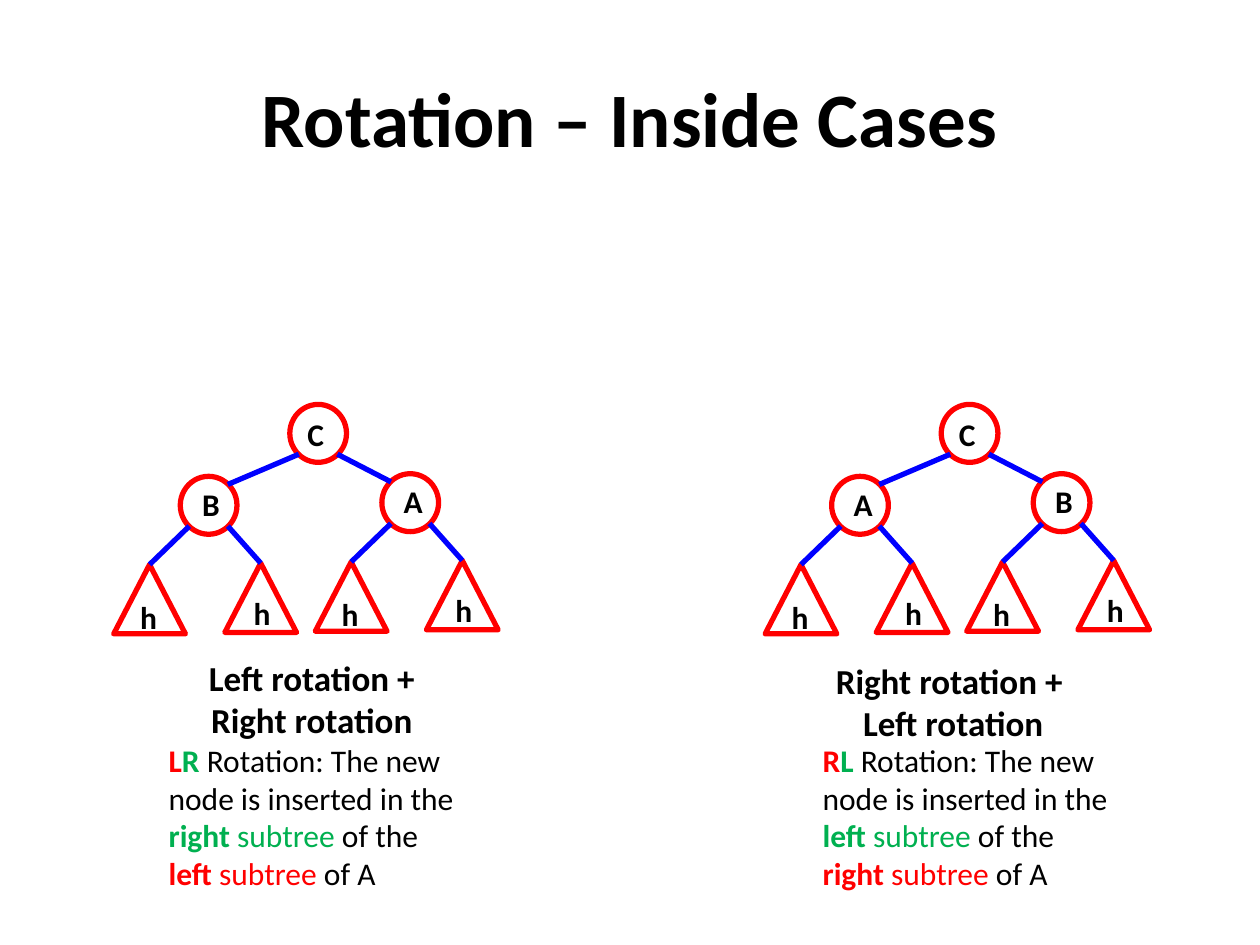
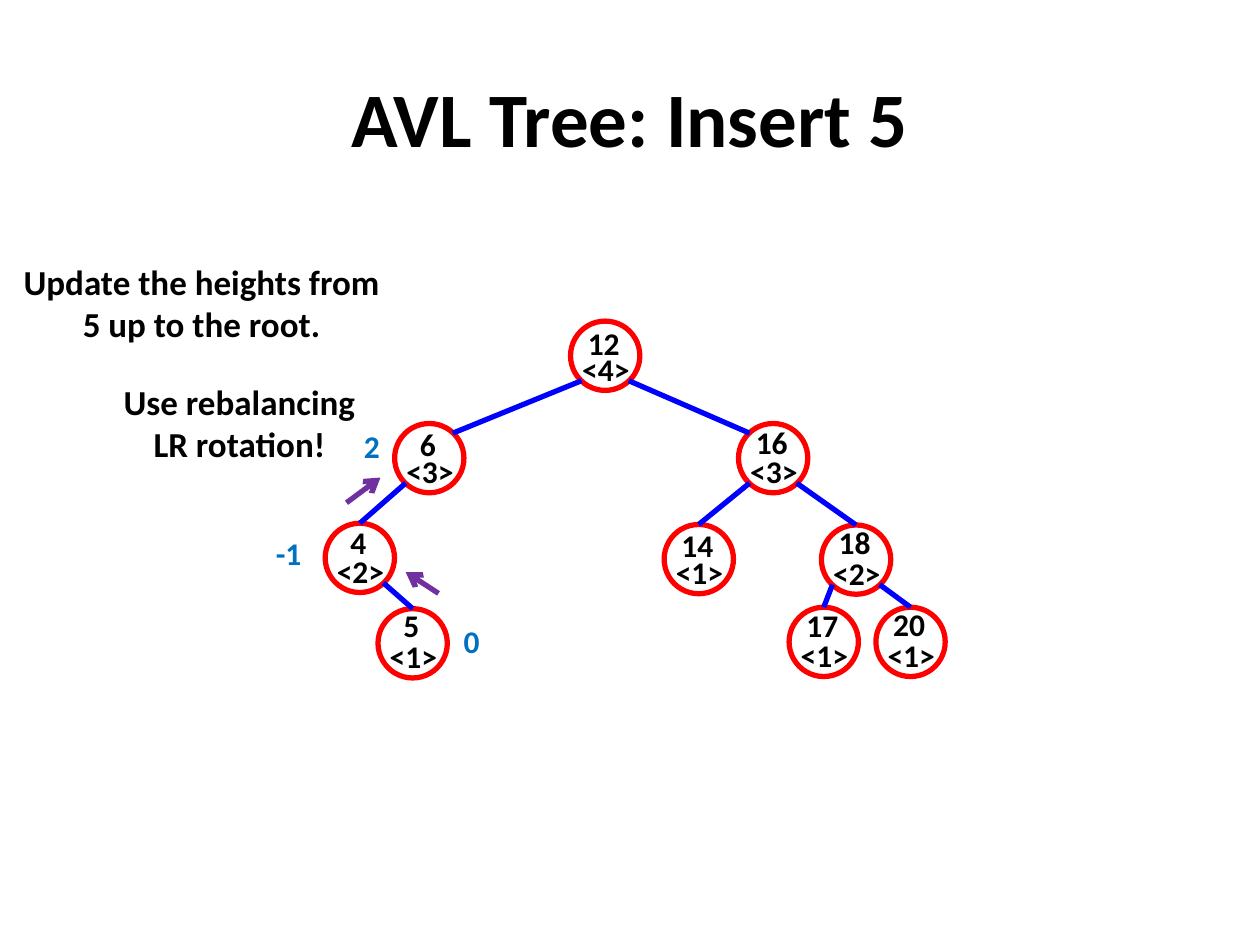
from lxml import etree
from pptx import Presentation
from pptx.dml.color import RGBColor
from pptx.enum import shapes, text
from pptx.oxml.ns import qn
from pptx.util import Pt

# ---- Shared style ----
COLOURS = {"black": "000000", "white": "FFFFFF", "red": "FF0000", "blue": "0000FF",
           "green": "00B050", "purple": "7030A0", "balance": "0070C0"}
FONT = "Calibri"
LINE_WIDTH = 3
PADDED = (7.2, 10.8)   # horizontal and vertical text margins
NORMAL = (7.2, 3.6)
TIGHT = (0, 0)
CENTRE = text.PP_ALIGN.CENTER
LEFT = text.PP_ALIGN.LEFT

# ---- Slide 1: rotation cases ----
ROTATION_TITLE = "Rotation – Inside Cases"
ROTATIONS = [
    {"shift": 0, "nodes": "CBA", "caption": ("Left rotation +", "Right rotation"),
     "caption_at": (71.3, 364.3), "note_at": (89.3, 419.8),
     "letters": "LR", "inner": "right", "outer": "left"},
    {"shift": 372.24, "nodes": "CAB", "caption": ("Right rotation + ", "Left rotation"),
     "caption_at": (437.8, 365.8), "note_at": (463, 419.8),
     "letters": "RL", "inner": "left", "outer": "right"},
]
NODE_SIZE = (32.4, 33.1)
NODE_PLACES = [(165.6, 231.1), (103, 272.2), (218.2, 270.7)]  # root, left, right
NODE_LABEL_SHIFTS = [(3, -5), (5.4, -5.8), (5.4, -5.8)]
SUBTREE_SIZE = (41, 39.6)
# side, offset from the parent node, offset of the "h" label
SUBTREES = [("left", (-38, 50.4), (8, 8.3)), ("right", (25.5, 49.6), (9.4, 6.8))]

# ---- Slide 2: AVL tree ----
AVL_TITLE = "AVL Tree: Insert 5"
CIRCLE = (39.6, 39.6)
# key: (height, left, top, key label shift, parent, side)
AVL_NODES = {
    "12": (4, 326, 183.5, 1.5, None, None),
    "6": (3, 225.5, 242, 0.7, "12", "left"),
    "16": (3, 422, 242, 0, "12", "right"),
    "14": (1, 379.5, 299.7, 0.7, "16", "left"),
    "18": (2, 469.4, 300, -1.4, "16", "right"),
    "17": (1, 450.9, 347, -0.7, "18", "left"),
    "20": (1, 500.5, 347, -1.4, "18", "right"),
    "4": (2, 185.8, 299, 0, "6", "left"),
    "5": (1, 216, 347.8, -1.4, "4", "right"),
}
UPWARD_ARROWS = [((198, 287.3), (217.4, 272.9)), ((250.6, 339.1), (231.8, 326.9))]
BALANCES = [("0", 257.8, 344.9), ("-1", 150.5, 294.5), ("2", 200.9, 233.3)]
REMARKS = [
    (("Use rebalancing", "LR rotation!"), (22.3, 206.6)),
    (("Update the heights from 5 up to the root.",), (0.7, 138.2)),
]


def colour(name):
    return RGBColor.from_string(COLOURS[name])


def add_span(para, content, size, tint="black", bold=True):
    span = para.add_run()
    span.text = content
    span.font.name, span.font.size, span.font.bold = FONT, Pt(size), bold
    span.font.color.rgb = colour(tint)


def add_box(page, at, size, margins=PADDED):
    box = page.shapes.add_textbox(*map(Pt, (*at, *size)))
    frame = box.text_frame
    frame.word_wrap = True
    frame.margin_left = frame.margin_right = Pt(margins[0])
    frame.margin_top = frame.margin_bottom = Pt(margins[1])
    return frame


def add_label(page, content, at, size, margins=PADDED, tint="black", align=LEFT):
    para = add_box(page, at, size, margins).paragraphs[0]
    para.alignment = align
    add_span(para, content, 18, tint)


def add_outline(page, kind, at, size, fill=None):
    shape = page.shapes.add_shape(kind, *map(Pt, (*at, *size)))
    shape.shadow.inherit = False
    if fill:
        shape.fill.solid()
        shape.fill.fore_color.rgb = colour(fill)
    else:
        shape.fill.background()
    shape.line.color.rgb = colour("red")
    shape.line.width = Pt(LINE_WIDTH)
    return shape


def add_line(page, start, end, tint="blue", arrow=False):
    line = page.shapes.add_connector(
        shapes.MSO_CONNECTOR.STRAIGHT, *map(Pt, (*start, *end)))
    line.line.color.rgb = colour(tint)
    line.line.width = Pt(LINE_WIDTH)
    properties = line.element.spPr
    if arrow:
        etree.SubElement(properties.find(qn("a:ln")), qn("a:tailEnd"), type="arrow")
    etree.SubElement(properties, qn("a:effectLst"))
    return line


def rim(at, size, side, lower):
    """Point on a circle's rim where an edge leaves (lower) or arrives (upper)."""
    across = 0.16 if side == "left" else 0.84
    return at[0] + size[0] * across, at[1] + size[1] * (0.86 if lower else 0.14)


def add_sibling_edge(page, parent_at, child_at, size, side):
    facing = "right" if side == "left" else "left"
    add_line(page, rim(parent_at, size, side, True), rim(child_at, size, facing, False))


def add_top_edge(page, parent_at, parent_size, side, child, child_at, child_size):
    top = (child_at[0] + child_size[0] / 2, child_at[1])
    add_line(page, rim(parent_at, parent_size, side, True), top).end_connect(child, 0)


def add_page(deck, title):
    page = deck.slides.add_slide(deck.slide_layouts[5])
    holder = page.shapes.title
    holder.left, holder.top, holder.width, holder.height = map(Pt, (36, 21.6, 648, 90))
    holder.text_frame.vertical_anchor = text.MSO_ANCHOR.MIDDLE
    para = holder.text_frame.paragraphs[0]
    para.alignment = CENTRE
    add_span(para, title, 44)
    return page


def add_rotation(page, case):
    # Nodes and the edges between them
    places = [(x + case["shift"], y) for x, y in NODE_PLACES]
    for name, at, shift in zip(case["nodes"], places, NODE_LABEL_SHIFTS):
        add_outline(page, shapes.MSO_SHAPE.OVAL, at, NODE_SIZE)
        add_label(page, name, (at[0] + shift[0], at[1] + shift[1]), (23, 43.9))
    for child_at, side in zip(places[1:], ("left", "right")):
        add_sibling_edge(page, places[0], child_at, NODE_SIZE, side)

    # Subtrees of height h
    for parent_at in places[1:]:
        for side, offset, shift in SUBTREES:
            at = (parent_at[0] + offset[0], parent_at[1] + offset[1])
            triangle = add_outline(
                page, shapes.MSO_SHAPE.ISOSCELES_TRIANGLE, at, SUBTREE_SIZE)
            add_top_edge(page, parent_at, NODE_SIZE, side, triangle, at, SUBTREE_SIZE)
            add_label(page, "h", (at[0] + shift[0], at[1] + shift[1]), (32.4, 43.9))

    # Caption and explanation
    para = add_box(page, case["caption_at"], (213.8, 70.6)).paragraphs[0]
    para.alignment = CENTRE
    first, second = case["caption"]
    add_span(para, first, 20)
    para.add_line_break()
    add_span(para, second, 20)

    para = add_box(page, case["note_at"], (180, 94.3), NORMAL).paragraphs[0]
    for content, tint, bold in [
        (case["letters"][0], "red", True),
        (case["letters"][1], "green", True),
        (" Rotation: The new node is inserted in the ", "black", False),
        (case["inner"], "green", True),
        (" subtree", "green", False),
        (" of the ", "black", False),
        (case["outer"], "red", True),
        (" subtree", "red", False),
        (" of A", "black", False),
    ]:
        add_span(para, content, 18, tint, bold)


def add_avl_tree(page):
    places = {key: node[1:3] for key, node in AVL_NODES.items()}
    for key, (height, left, top, shift, parent, side) in AVL_NODES.items():
        circle = add_outline(
            page, shapes.MSO_SHAPE.OVAL, (left, top), CIRCLE, "white")
        add_label(page, key, (left + 6.8, top + shift), (24.5, 21.6), TIGHT, align=CENTRE)
        add_label(page, f"<{height}>", (left + 1.1, top + 16.5), (38.2, 21.6), TIGHT,
                  align=CENTRE)
        if parent == "12":
            add_sibling_edge(page, places[parent], (left, top), CIRCLE, side)
        elif parent:
            add_top_edge(page, places[parent], CIRCLE, side, circle, (left, top), CIRCLE)


def main():
    deck = Presentation()
    deck.slide_width, deck.slide_height = Pt(720), Pt(540)

    page = add_page(deck, ROTATION_TITLE)
    for case in ROTATIONS:
        add_rotation(page, case)

    page = add_page(deck, AVL_TITLE)
    add_avl_tree(page)
    for start, end in UPWARD_ARROWS:
        add_line(page, start, end, "purple", arrow=True)
    for value, left, top in BALANCES:
        add_label(page, value, (left, top), (39.6, 43.9), tint="balance")
    for lines, at in REMARKS:
        frame = add_box(page, at, (229, 70.6))
        for number, content in enumerate(lines):
            para = frame.add_paragraph() if number else frame.paragraphs[0]
            para.alignment = CENTRE
            add_span(para, content, 20)

    deck.save("out.pptx")


if __name__ == "__main__":
    main()
